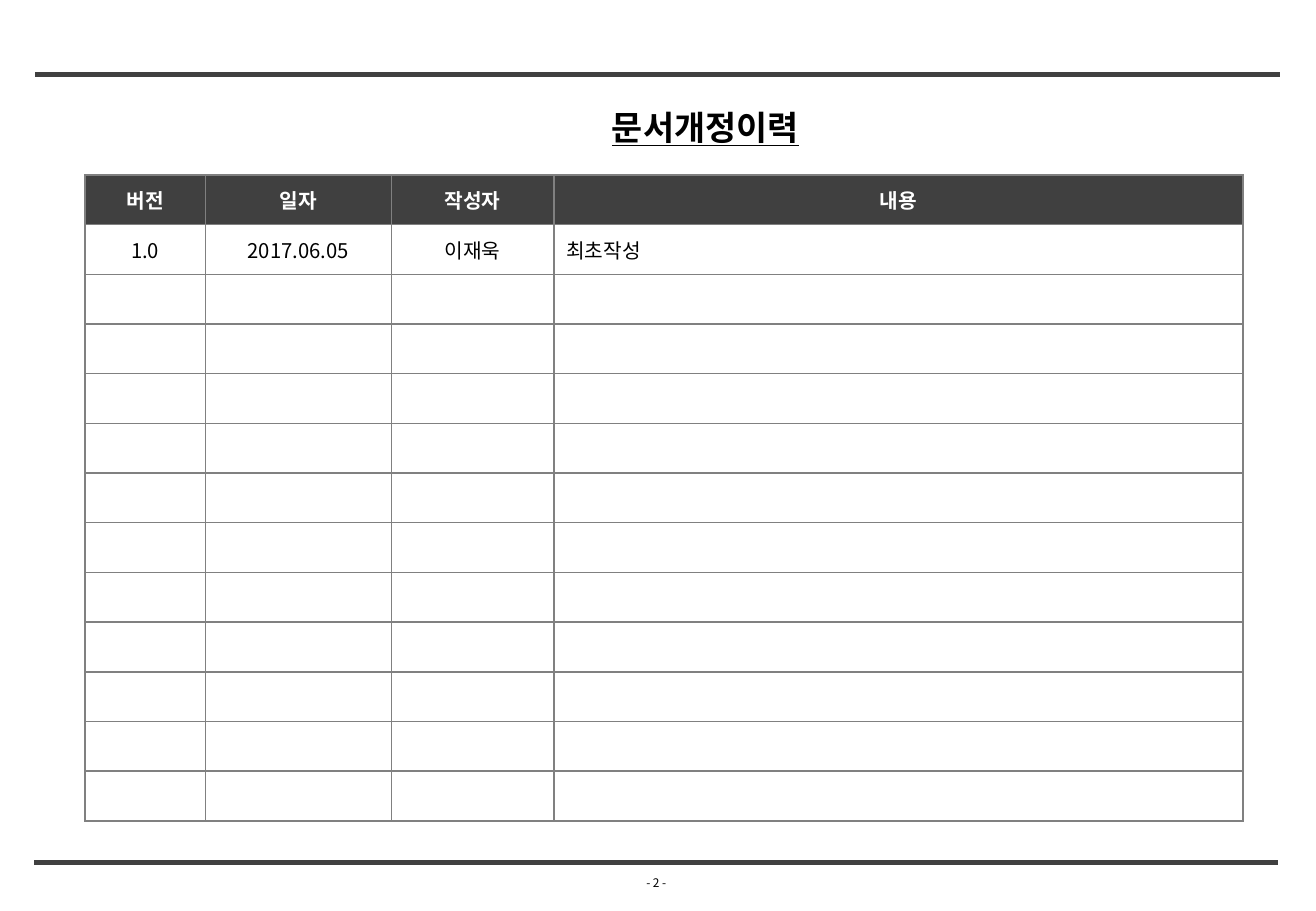
from dataclasses import dataclass

from lxml.etree import SubElement
from pptx import Presentation
from pptx.dml.color import RGBColor as Rgb
from pptx.enum.shapes import MSO_CONNECTOR as Connector
from pptx.enum.text import MSO_ANCHOR as Anchor, PP_ALIGN as Align
from pptx.oxml.ns import qn
from pptx.util import Inches, Pt


@dataclass(frozen=True)
class Theme:
    """Colours, font and type sizes of the slide."""

    font: str = "Noto Sans CJK KR"
    black: str = "000000"
    white: str = "FFFFFF"
    dark: str = "404040"
    grid: str = "808080"
    title_size: int = 20
    table_size: int = 12
    page_size: int = 7
    rule_width: int = 3
    grid_width: int = 1


THEME = Theme()
COLUMN_WIDTHS = (0.99, 1.53, 1.34, 5.67)
ROW_COUNT = 13
TABLE_HEIGHT = 5.32
HISTORY = (
    ("버전", "일자", "작성자", "내용"),
    ("1.0", "2017.06.05", "이재욱", "최초작성"),
)


def write_text(frame, text, align, color, **formats):
    """Fill a text frame with one formatted paragraph."""
    para = frame.paragraphs[0]
    para.alignment = align
    span = para.add_run()
    span.text = text
    for name, value in {"name": THEME.font, **formats}.items():
        setattr(span.font, name, value)
    span.font.color.rgb = Rgb.from_string(color)
    east_asian = SubElement(span.font._element, qn("a:ea"))
    east_asian.set("typeface", THEME.font)


def add_label(page, bounds, text, align, **formats):
    """Add a text box with one line of black text."""
    box = page.shapes.add_textbox(*map(Inches, bounds))
    box.text_frame.word_wrap = True
    write_text(box.text_frame, text, align, THEME.black, **formats)


def add_rule(page, left, top, width):
    """Add a thick horizontal rule."""
    rule = page.shapes.add_connector(
        Connector.STRAIGHT,
        Inches(left), Inches(top), Inches(left + width), Inches(top),
    )
    rule.line.color.rgb = Rgb.from_string(THEME.dark)
    rule.line.width = Pt(THEME.rule_width)
    SubElement(rule._element.spPr, qn("a:effectLst"))


def set_borders(cell):
    """Draw all four borders of a cell in the grid colour."""
    properties = cell._tc.get_or_add_tcPr()
    for side in ("a:lnL", "a:lnR", "a:lnT", "a:lnB"):
        border = SubElement(properties, qn(side), w=str(Pt(THEME.grid_width)))
        fill = SubElement(border, qn("a:solidFill"))
        SubElement(fill, qn("a:srgbClr"), val=THEME.grid)


def style_cell(cell, is_header):
    """Set the borders, anchor and fill of a cell."""
    set_borders(cell)
    cell.vertical_anchor = Anchor.MIDDLE
    if is_header:
        cell.fill.solid()
        cell.fill.fore_color.rgb = Rgb.from_string(THEME.dark)
    else:
        cell.fill.background()


def add_history_table(page, left, top):
    """Add the revision table with its header, entries and empty rows."""
    table = page.shapes.add_table(
        ROW_COUNT, len(COLUMN_WIDTHS), Inches(left), Inches(top),
        Inches(sum(COLUMN_WIDTHS)), Inches(TABLE_HEIGHT),
    ).table
    table.first_row = table.horz_banding = False
    for column, width in zip(table.columns, COLUMN_WIDTHS):
        column.width = Inches(width)
    for row_index, row in enumerate(table.rows):
        row.height = Inches(TABLE_HEIGHT / ROW_COUNT)
        for cell in row.cells:
            style_cell(cell, row_index == 0)
    last_column = len(COLUMN_WIDTHS) - 1
    for row_index, entry in enumerate(HISTORY):
        is_header = row_index == 0
        for column_index, text in enumerate(entry):
            is_note = column_index == last_column and not is_header
            write_text(
                table.cell(row_index, column_index).text_frame, text,
                Align.LEFT if is_note else Align.CENTER,
                THEME.white if is_header else THEME.black,
                size=Pt(THEME.table_size), bold=is_header,
            )


def main():
    """Build and save the revision history slide."""
    deck = Presentation()
    deck.slide_width, deck.slide_height = Inches(10.83), Inches(7.5)
    page = deck.slides.add_slide(deck.slide_layouts[6])
    add_label(page, (5.22, 7.16, 0.51, 0.22), "- 2 -", Align.LEFT,
              size=Pt(THEME.page_size))
    add_rule(page, 0.28, 7.1, 10.24)
    add_rule(page, 0.29, 0.61, 10.24)
    add_label(page, (4.78, 0.83, 1.89, 0.44), "문서개정이력", Align.RIGHT,
              size=Pt(THEME.title_size), bold=True, underline=True)
    add_history_table(page, 0.7, 1.44)
    deck.save("out.pptx")


if __name__ == "__main__":
    main()
